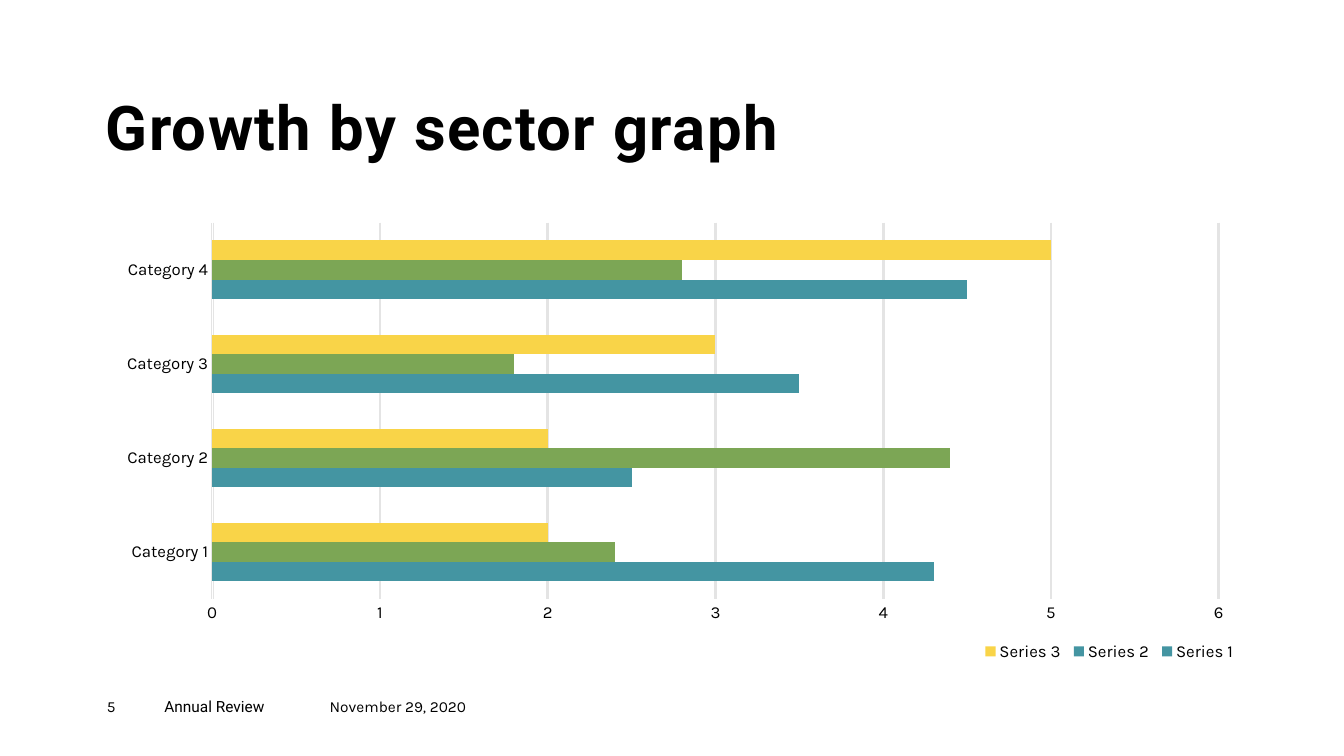
from pptx import Presentation
from pptx.chart.data import CategoryChartData
from pptx.dml.color import RGBColor
from pptx.enum.chart import XL_CHART_TYPE as ChartType
from pptx.enum.chart import XL_LEGEND_POSITION as LegendPosition
from pptx.enum.chart import XL_TICK_MARK as TickMark
from pptx.enum.text import MSO_ANCHOR as Anchor
from pptx.oxml import parse_xml
from pptx.oxml.ns import nsdecls, qn
from pptx.util import Inches, Pt

COLORS = {
    "text": "000000",
    "background": "FFFFFF",
    "grid": "E4E4E4",
    "teal": "4495A2",
    "green": "7CA655",
    "yellow": "F9D448",
}
HEADING_FONT = "Roboto"
BODY_FONT = "Karla"

CATEGORIES = ["Category 1", "Category 2", "Category 3", "Category 4"]
# Name, values, series color, color of the single bars if it differs
SERIES = [
    ("Series 1", (4.3, 2.5, 3.5, 4.5), "teal", None),
    ("Series 2", (2.4, 4.4, 1.8, 2.8), "teal", "green"),
    ("Series 3", (2, 2, 3, 5), "yellow", None),
]
# Text, left, width, font
FOOTER = [
    ("5", 1.06, 0.57, BODY_FONT),
    ("Annual Review", 1.63, 1.64, HEADING_FONT),
    ("November 29, 2020", 3.27, 1.44, BODY_FONT),
]


def rgb(name):
    return RGBColor.from_string(COLORS[name])


def fill_solid(fill, color):
    fill.solid()
    fill.fore_color.rgb = rgb(color)


def style_font(font, size, name):
    font.size = Pt(size)
    font.name = name
    font.color.rgb = rgb("text")


def set_layout(parent, after, x, y, width, height, inner=False):
    """Place a chart part by fractions of the chart area."""
    for layout in parent.findall(qn("c:layout")):
        parent.remove(layout)
    target = '<c:layoutTarget val="inner"/>' if inner else ""
    layout = parse_xml(
        f'<c:layout {nsdecls("c")}><c:manualLayout>{target}'
        '<c:xMode val="edge"/><c:yMode val="edge"/>'
        f'<c:x val="{x}"/><c:y val="{y}"/><c:w val="{width}"/><c:h val="{height}"/>'
        "</c:manualLayout></c:layout>"
    )
    parent.insert(after, layout)


class SlideBuilder:
    def __init__(self, slide):
        self.slide = slide
        fill_solid(slide.background.fill, "background")

    def text(self, text, left, top, width, height, size, font_name,
             bold=False, anchor=Anchor.TOP, line_spacing=None, tracking=None):
        shape = self.slide.shapes.add_textbox(
            Inches(left), Inches(top), Inches(width), Inches(height))
        text_frame = shape.text_frame
        text_frame.word_wrap = True
        text_frame.vertical_anchor = anchor
        text_frame.margin_left = text_frame.margin_right = 0
        text_frame.margin_top = text_frame.margin_bottom = 0
        text_frame.text = text
        paragraph = text_frame.paragraphs[0]
        paragraph.line_spacing = line_spacing
        run = paragraph.runs[0]
        style_font(run.font, size, font_name)
        run.font.bold = bold
        if tracking:
            run.font._element.set("spc", str(tracking * 100))

    def bar_chart(self, left, top, width, height):
        data = CategoryChartData()
        data.categories = CATEGORIES
        for name, values, _, _ in SERIES:
            data.add_series(name, values)
        chart = self.slide.shapes.add_chart(
            ChartType.BAR_CLUSTERED, Inches(left), Inches(top),
            Inches(width), Inches(height), data).chart
        chart.has_title = False
        style_font(chart.font, 10, BODY_FONT)

        # Bars
        plot = chart.plots[0]
        plot.vary_by_categories = False
        plot.gap_width = 182
        plot.overlap = 0
        for series, (_, values, color, bar_color) in zip(plot.series, SERIES):
            series.invert_if_negative = False
            fill_solid(series.format.fill, color)
            if bar_color:
                for index in range(len(values)):
                    fill_solid(series.points[index].format.fill, bar_color)

        # Axes
        category_axis, value_axis = chart.category_axis, chart.value_axis
        for axis in (category_axis, value_axis):
            axis.major_tick_mark = axis.minor_tick_mark = TickMark.NONE
            style_font(axis.tick_labels.font, 12, BODY_FONT)
        category_axis.format.line.color.rgb = rgb("background")
        category_axis.format.line.width = Pt(0.75)
        value_axis.format.line.fill.background()
        value_axis.minimum_scale = 0
        value_axis.maximum_scale = 6
        value_axis.major_unit = 1
        value_axis.has_major_gridlines = True
        gridline = value_axis.major_gridlines.format.line
        gridline.color.rgb = rgb("grid")
        gridline.width = Pt(2)

        # Legend and plot area
        chart.has_legend = True
        chart.legend.position = LegendPosition.BOTTOM
        chart.legend.include_in_layout = False
        style_font(chart.legend.font, 12, BODY_FONT)
        chart_element = chart.element.find(qn("c:chart"))
        set_layout(chart_element.find(qn("c:plotArea")), 0,
                   0.094, 0.02, 0.882, 0.83, inner=True)
        set_layout(chart_element.find(qn("c:legend")), 1,
                   0.765, 0.935, 0.23, 0.06)


def main():
    presentation = Presentation()
    presentation.slide_width = Inches(13.33)
    presentation.slide_height = Inches(7.5)
    builder = SlideBuilder(
        presentation.slides.add_slide(presentation.slide_layouts[6]))

    # Title
    builder.text("Growth by sector graph", 1.05, 0.96, 8.84, 0.67, 44,
                 HEADING_FONT, bold=True, anchor=Anchor.BOTTOM,
                 line_spacing=0.9, tracking=1)

    # Chart
    builder.bar_chart(1.04, 2.12, 11.32, 4.5)

    # Footer
    for text, left, width, font_name in FOOTER:
        builder.text(text, left, 6.92, width, 0.27, 11, font_name)

    presentation.save("out.pptx")


if __name__ == "__main__":
    main()
